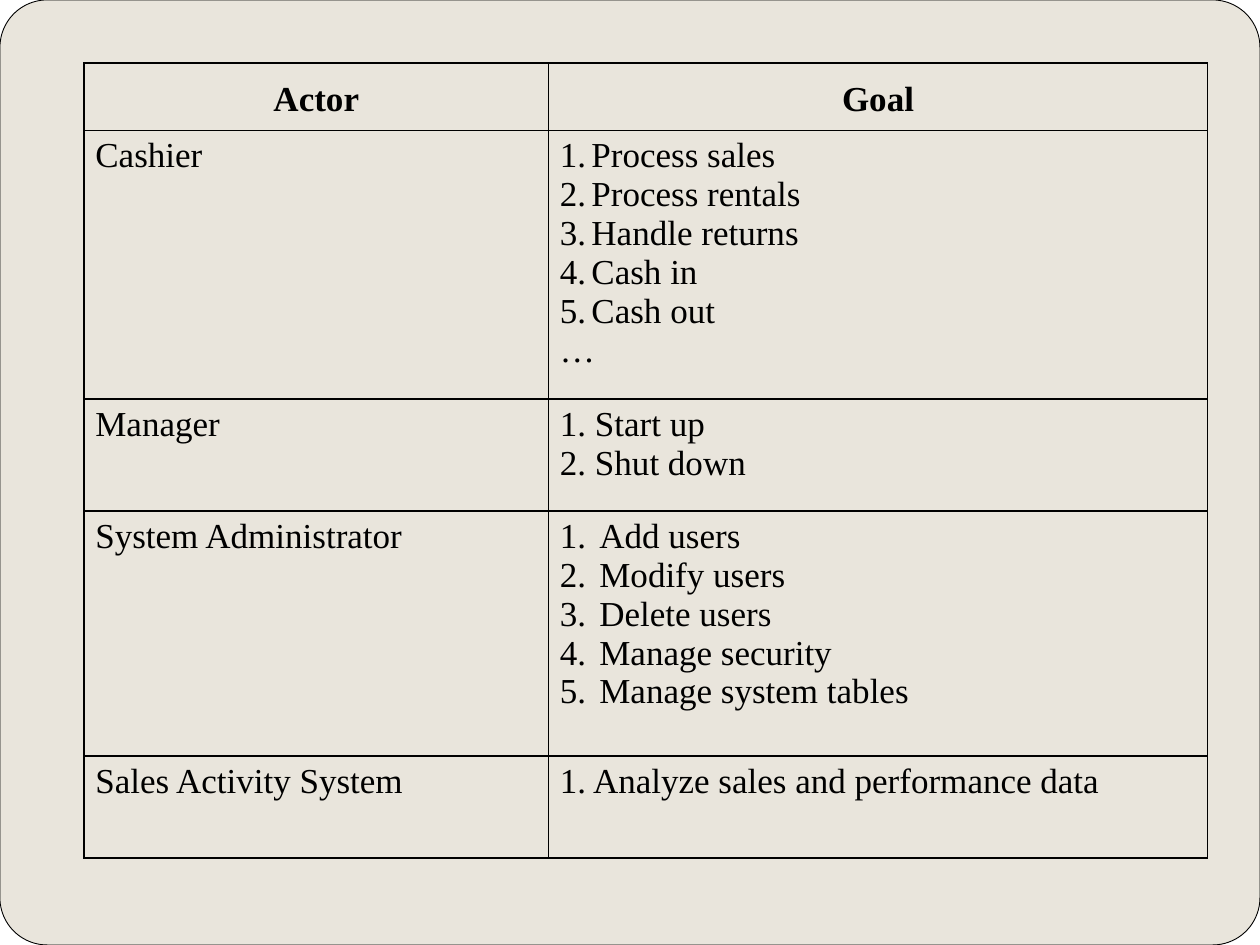
from lxml.etree import SubElement
from pptx import Presentation
from pptx.dml.color import RGBColor
from pptx.enum.shapes import MSO_SHAPE
from pptx.enum.text import MSO_ANCHOR, PP_ALIGN
from pptx.oxml.ns import qn
from pptx.util import Pt

COLORS = {"paper": "E9E5DC", "white": "FFFFFF", "ink": "000000"}
WIDTH, HEIGHT = 720, 540
COLUMNS = [265.5, 376.5]
ROWS = [38.5, 153.5, 64, 140, 58.5]
HANGING = 27

ACTORS = [
    ("Cashier", ["Process sales", "Process rentals", "Handle returns",
                 "Cash in", "Cash out", "…"], 18, 5),
    ("Manager", ["1. Start up", "2. Shut down"], HANGING, 0),
    ("System Administrator", ["Add users", "Modify users", "Delete users",
                              "Manage security", "Manage system tables"], 22.5, 5),
    ("Sales Activity System", ["1. Analyze sales and performance data"], HANGING, 0),
]


def rgb(name):
    return RGBColor.from_string(COLORS[name])


class SlideBuilder:
    font = "Times New Roman"
    size = 20

    def __init__(self, prs):
        self.s = prs.slides.add_slide(prs.slide_layouts[6])

    def background(self, color):
        fill = self.s.background.fill
        fill.solid()
        fill.fore_color.rgb = rgb(color)

    def panel(self, kind, color, line=None):
        sp = self.s.shapes.add_shape(kind, 0, 0, Pt(WIDTH), Pt(HEIGHT))
        sp.shadow.inherit = False
        sp.fill.solid()
        sp.fill.fore_color.rgb = rgb(color)
        if line:
            sp.line.color.rgb = rgb(line)
            sp.line.width = Pt(0.5)
        else:
            sp.line.fill.background()
        return sp

    def table(self, x, y, columns, rows):
        frame = self.s.shapes.add_table(len(rows), len(columns), Pt(x), Pt(y),
                                        Pt(sum(columns)), Pt(sum(rows)))
        tbl = frame.table
        tbl.first_row = tbl.horz_banding = False
        for column, width in zip(tbl.columns, columns):
            column.width = Pt(width)
        for row, height in zip(tbl.rows, rows):
            row.height = Pt(height)
        return tbl

    def borders(self, cell):
        tcPr = cell._tc.get_or_add_tcPr()
        for side in ("lnL", "lnR", "lnT", "lnB"):
            ln = SubElement(tcPr, qn(f"a:{side}"), w=str(Pt(1)))
            fill = SubElement(ln, qn("a:solidFill"))
            SubElement(fill, qn("a:srgbClr"), val=COLORS["ink"])

    def cell(self, cell, lines, indent=HANGING, numbered=0, header=False):
        self.borders(cell)
        cell.fill.background()
        cell.margin_left = cell.margin_right = Pt(6.5)
        cell.margin_top, cell.margin_bottom = Pt(3.6), Pt(0)
        cell.vertical_anchor = MSO_ANCHOR.MIDDLE if header else MSO_ANCHOR.TOP
        tf = cell.text_frame
        tf.text = "\n".join(lines)
        for i, p in enumerate(tf.paragraphs):
            p.alignment = PP_ALIGN.CENTER if header else PP_ALIGN.LEFT
            pPr = p._p.get_or_add_pPr()
            pPr.set("marL", str(Pt(indent)))
            pPr.set("indent", str(-Pt(indent)))
            if i < numbered:
                SubElement(pPr, qn("a:buAutoNum"), type="arabicPeriod")
            else:
                SubElement(pPr, qn("a:buNone"))
            for r in p.runs:
                r.font.name = self.font
                r.font.size = Pt(self.size)
                r.font.bold = header
                r.font.color.rgb = rgb("ink")


def main():
    prs = Presentation()
    prs.slide_width, prs.slide_height = Pt(WIDTH), Pt(HEIGHT)
    b = SlideBuilder(prs)
    b.background("paper")
    b.panel(MSO_SHAPE.RECTANGLE, "white")
    card = b.panel(MSO_SHAPE.ROUNDED_RECTANGLE, "paper", "ink")
    card.adjustments[0] = 0.05

    tbl = b.table(48, 36, COLUMNS, ROWS)
    b.cell(tbl.cell(0, 0), ["Actor"], header=True)
    b.cell(tbl.cell(0, 1), ["Goal"], indent=13.5, header=True)
    for row, (actor, goals, indent, numbered) in enumerate(ACTORS, start=1):
        b.cell(tbl.cell(row, 0), [actor])
        b.cell(tbl.cell(row, 1), goals, indent, numbered)
    prs.save("out.pptx")


if __name__ == "__main__":
    main()
